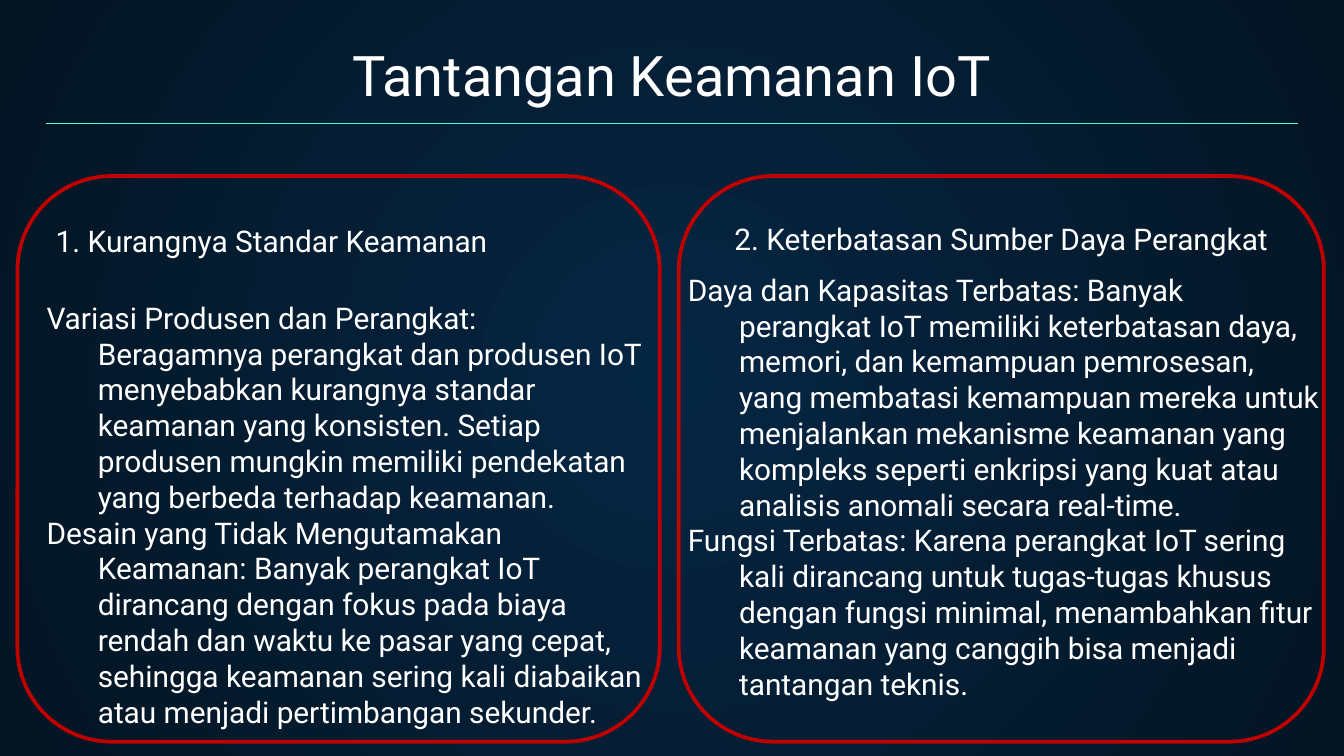
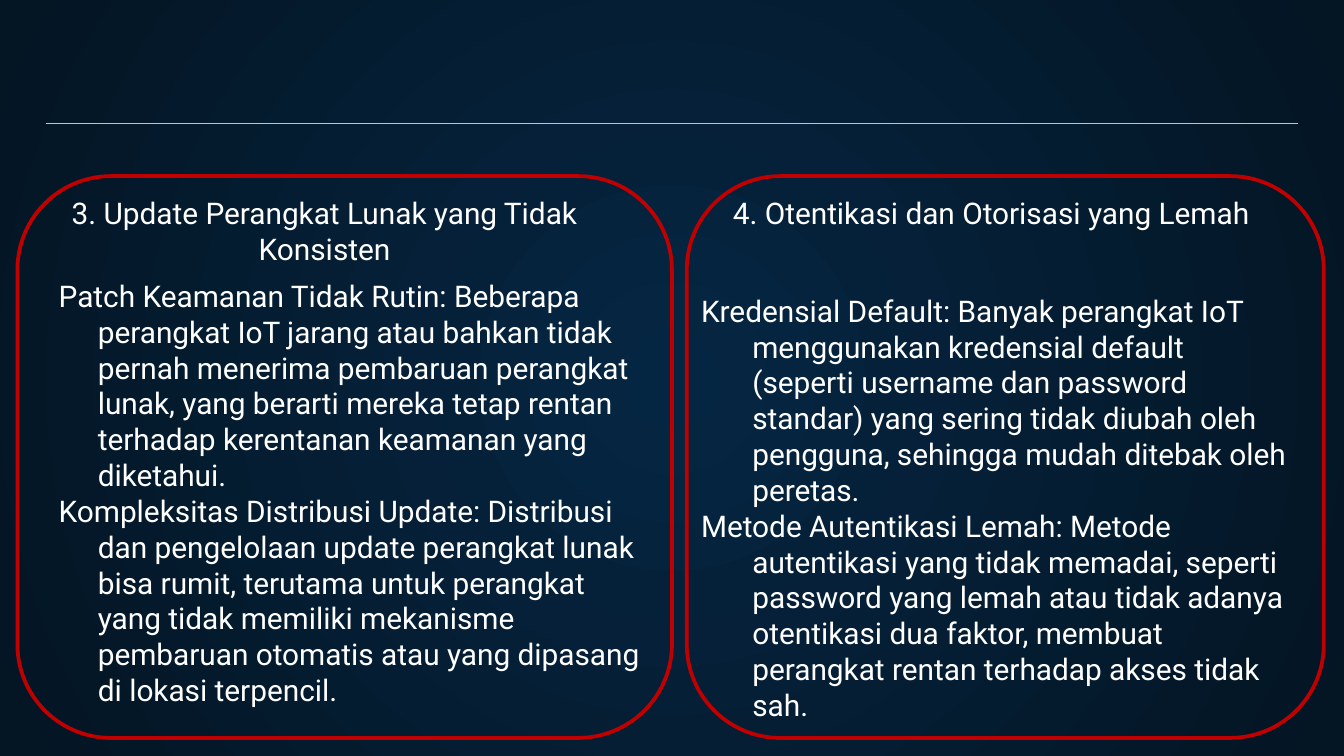
import pptx
import pptx.util
import pptx.dml.color
import pptx.enum.shapes
import pptx.enum.text
import pptx.oxml
import pptx.oxml.ns
from pptx.util import Cm

WHITE, TEAL, RED = "FFFFFF", "48FFD5", "C00000"
GLOW, NIGHT = "052643", "041523"
FONT = "Roboto"
RULE_LEFT, RULE_RIGHT, RULE_Y = 0.86, 24.54, 2.34
PANEL_TOP = 3.33
ALIGN = pptx.enum.text.PP_ALIGN
ANCHOR = pptx.enum.text.MSO_ANCHOR


def color(value):
    return pptx.dml.color.RGBColor.from_string(value)


def write(shape, box, *paragraphs, size=16, align=ALIGN.LEFT,
          anchor=ANCHOR.TOP, margin=0, indent=0):
    """Place a text shape at box (cm) and fill it with formatted paragraphs."""
    shape.left, shape.top, shape.width, shape.height = map(Cm, box)
    frame = shape.text_frame
    frame.word_wrap = True
    frame.auto_size = pptx.enum.text.MSO_AUTO_SIZE.NONE
    frame.vertical_anchor = anchor
    frame.margin_left = frame.margin_right = Cm(0.25)
    frame.margin_top = frame.margin_bottom = Cm(0.25)
    frame.text = "\n".join(paragraphs)
    for paragraph in frame.paragraphs:
        paragraph.alignment = align
        properties = paragraph._p.get_or_add_pPr()
        properties.set("marL", str(Cm(margin)))
        properties.set("indent", str(Cm(indent)))
        font = paragraph.runs[0].font
        font.name, font.size = FONT, pptx.util.Pt(size)
        font.color.rgb = color(WHITE)


# Content: each column is a heading, its body and a red outline
slides = [
    {
        "title": "Tantangan Keamanan IoT",
        "panel_height": 10.69,
        "columns": [
            {
                "heading": "1. Kurangnya Standar Keamanan",
                "heading_box": (-0.91, 3.53, 12.09, 1.6),
                "points": [
                    "Variasi Produsen dan Perangkat: Beragamnya perangkat dan produsen IoT menyebabkan kurangnya standar keamanan yang konsisten. Setiap produsen mungkin memiliki pendekatan yang berbeda terhadap keamanan.",
                    "Desain yang Tidak Mengutamakan Keamanan: Banyak perangkat IoT dirancang dengan fokus pada biaya rendah dan waktu ke pasar yang cepat, sehingga keamanan sering kali diabaikan atau menjadi pertimbangan sekunder.",
                ],
                "points_box": (0.33, 5.41, 12.14, 8.05),
                "indents": (1.27, -0.97),
                "panel": (0.33, 12.14),
            },
            {
                "heading": "2. Keterbatasan Sumber Daya Perangkat",
                "heading_box": (12.45, 4.4, 12.95, 0.69),
                "points": [
                    "Daya dan Kapasitas Terbatas: Banyak perangkat IoT memiliki keterbatasan daya, memori, dan kemampuan pemrosesan, yang membatasi kemampuan mereka untuk menjalankan mekanisme keamanan yang kompleks seperti enkripsi yang kuat atau analisis anomali secara real-time.",
                    "Fungsi Terbatas: Karena perangkat IoT sering kali dirancang untuk tugas-tugas khusus dengan fungsi minimal, menambahkan fitur keamanan yang canggih bisa menjadi tantangan teknis.",
                ],
                "points_box": (12.45, 4.88, 12.76, 8.46),
                "indents": (1.27, -0.97),
                "panel": (12.83, 12.19),
            },
        ],
    },
    {
        "title": None,
        "panel_height": 10.62,
        "columns": [
            {
                "heading": "3. Update Perangkat Lunak yang Tidak Konsisten",
                "heading_box": (-0.2, 4.01, 12.67, 1.27),
                "points": [
                    "Patch Keamanan Tidak Rutin: Beberapa perangkat IoT jarang atau bahkan tidak pernah menerima pembaruan perangkat lunak, yang berarti mereka tetap rentan terhadap kerentanan keamanan yang diketahui.",
                    "Kompleksitas Distribusi Update: Distribusi dan pengelolaan update perangkat lunak bisa rumit, terutama untuk perangkat yang tidak memiliki mekanisme pembaruan otomatis atau yang dipasang di lokasi terpencil.",
                ],
                "points_box": (0.86, 5, 11.58, 8.48),
                "indents": (0.74, -0.74),
                "panel": (0.33, 12.37),
            },
            {
                "heading": "4. Otentikasi dan Otorisasi yang Lemah",
                "heading_box": (12.45, 3.62, 12.57, 0.99),
                "points": [
                    "Kredensial Default: Banyak perangkat IoT menggunakan kredensial default (seperti username dan password standar) yang sering tidak diubah oleh pengguna, sehingga mudah ditebak oleh peretas.",
                    "Metode Autentikasi Lemah: Metode autentikasi yang tidak memadai, seperti password yang lemah atau tidak adanya otentikasi dua faktor, membuat perangkat rentan terhadap akses tidak sah.",
                ],
                "points_box": (12.7, 5.28, 11.91, 5.51),
                "indents": (1.27, -0.97),
                "panel": (12.98, 12.04),
            },
        ],
    },
]

deck = pptx.Presentation()
deck.slide_width, deck.slide_height = Cm(25.4), Cm(14.29)
TITLE_ONLY, BLANK = deck.slide_layouts[5], deck.slide_layouts[6]

# Shared background: a glow from the centre, set once on the master
background = deck.slide_master.background.fill
background.gradient()
for stop, shade in zip(background.gradient_stops, (GLOW, NIGHT)):
    stop.color.rgb = color(shade)
background.gradient_stops[0].position = 0
background.gradient_stops[1].position = 1
gradient = next(deck.slide_master.element.iter(pptx.oxml.ns.qn("a:gradFill")))
gradient.replace(
    gradient.find(pptx.oxml.ns.qn("a:lin")),
    pptx.oxml.parse_xml(
        f'<a:path {pptx.oxml.ns.nsdecls("a")} path="circle">'
        '<a:fillToRect l="50000" t="50000" r="50000" b="50000"/></a:path>'))

for content in slides:
    slide = deck.slides.add_slide(TITLE_ONLY if content["title"] else BLANK)

    # Title and the rule below it
    if content["title"]:
        write(slide.shapes.title, (RULE_LEFT, 0.94, 23.67, 1.35), content["title"],
              size=30, align=ALIGN.CENTER, anchor=ANCHOR.BOTTOM)
    rule = slide.shapes.add_connector(
        pptx.enum.shapes.MSO_CONNECTOR.STRAIGHT,
        Cm(RULE_LEFT), Cm(RULE_Y), Cm(RULE_RIGHT), Cm(RULE_Y))
    rule.line.color.rgb = color(TEAL)
    rule.line.width = pptx.util.Pt(0.75)
    rule._element.spPr.append(pptx.oxml.parse_xml(
        f'<a:effectLst {pptx.oxml.ns.nsdecls("a")}/>'))

    # Two columns
    for column in content["columns"]:
        margin, indent = column["indents"]
        write(slide.shapes.add_textbox(0, 0, 0, 0), column["points_box"],
              *column["points"], margin=margin, indent=indent)
        write(slide.shapes.add_textbox(0, 0, 0, 0), column["heading_box"],
              column["heading"], align=ALIGN.CENTER, anchor=ANCHOR.BOTTOM)
        left, width = column["panel"]
        panel = slide.shapes.add_shape(
            pptx.enum.shapes.MSO_SHAPE.ROUNDED_RECTANGLE,
            Cm(left), Cm(PANEL_TOP), Cm(width), Cm(content["panel_height"]))
        panel.shadow.inherit = False
        panel.fill.background()
        panel.line.color.rgb = color(RED)
        panel.line.width = pptx.util.Pt(2)

deck.save("out.pptx")
